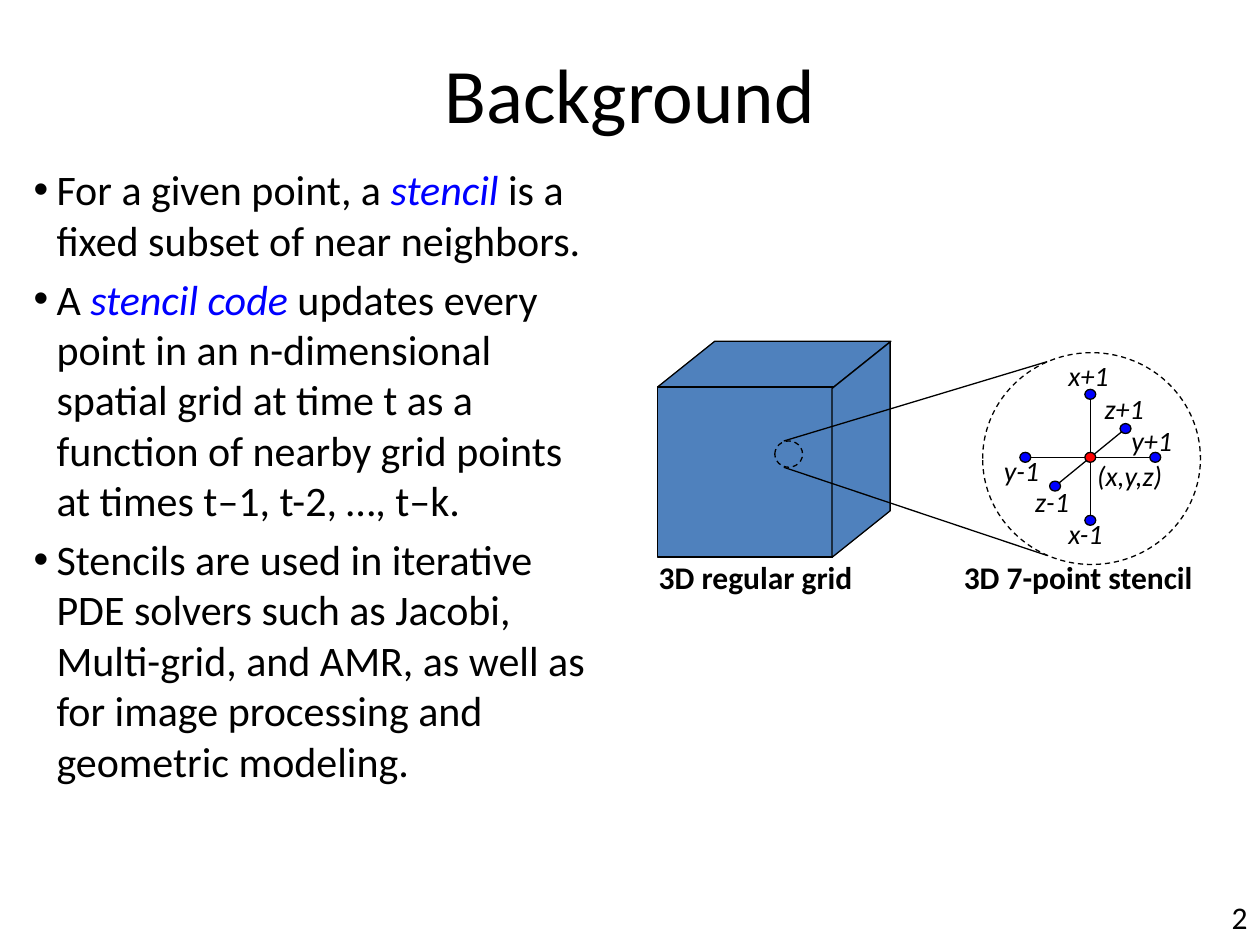
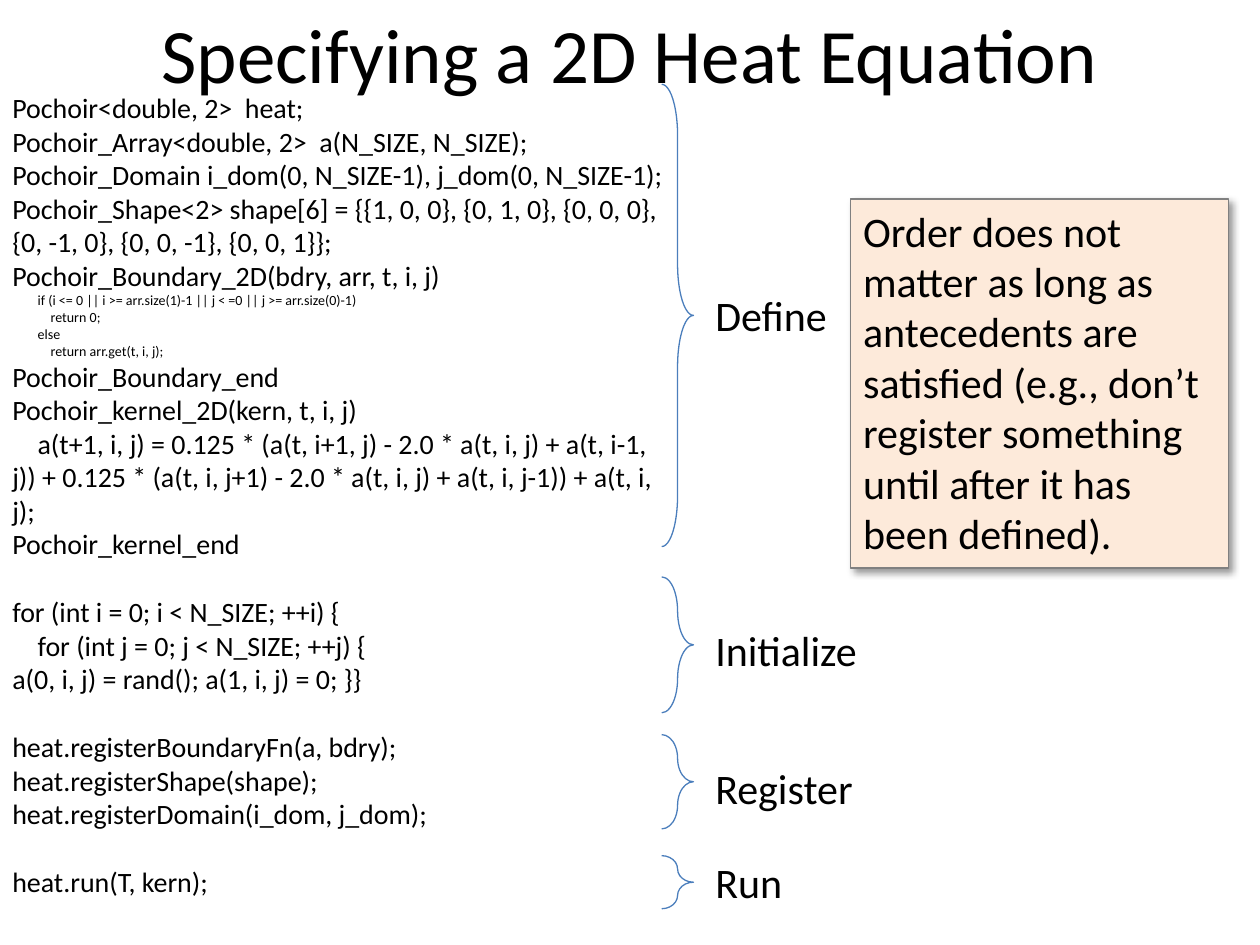
from lxml import etree
from pptx import Presentation, util as u
from pptx.dml.color import RGBColor
from pptx.enum import dml, shapes, text as t
from pptx.oxml import ns

BLACK = RGBColor(0, 0, 0)
BLUE = RGBColor(0, 0, 255)
RED = RGBColor(255, 0, 0)
CUBE_BLUE = RGBColor(0x4F, 0x81, 0xBD)
BRACE_BLUE = RGBColor(0x4B, 0x7E, 0xBC)
PEACH = RGBColor(0xFD, 0xEA, 0xDA)
GRAY = RGBColor(0x80, 0x80, 0x80)
SHAPE = shapes.MSO_SHAPE


def add_text(paragraph, content, size=16, color=BLACK, bold=False, italic=False):
    run = paragraph.add_run()
    run.text = content
    font = run.font
    font.name, font.size = "Calibri", u.Pt(size)
    font.bold, font.italic = bold, italic
    font.color.rgb = color


def add_child(parent, tag, **attributes):
    child = etree.SubElement(parent, ns.qn(tag))
    for name, value in attributes.items():
        child.set(name, str(value))
    return child


class Deck:
    line_width = u.Pt(0.75)

    def __init__(self):
        self.presentation = Presentation()
        self.presentation.slide_width = u.Cm(25.4)
        self.presentation.slide_height = u.Cm(19.05)

    def new_slide(self, title, top, height):
        layout = self.presentation.slide_layouts[6]
        self.slide = self.presentation.slides.add_slide(layout)
        self.label(title, 1.27, top, 22.86, height, size=44,
                   align=t.PP_ALIGN.CENTER, anchor=t.MSO_ANCHOR.MIDDLE)

    def text_frame(self, left, top, width, height, wrap=True):
        box = self.slide.shapes.add_textbox(*map(u.Cm, (left, top, width, height)))
        box.text_frame.word_wrap = wrap
        return box.text_frame

    def label(self, content, left, top, width, height, wrap=True,
              align=t.PP_ALIGN.LEFT, anchor=t.MSO_ANCHOR.TOP, **style):
        frame = self.text_frame(left, top, width, height, wrap)
        frame.vertical_anchor = anchor
        frame.paragraphs[0].alignment = align
        add_text(frame.paragraphs[0], content, **style)

    def paragraphs(self, frame, count):
        return [frame.paragraphs[0]] + [frame.add_paragraph() for _ in range(count - 1)]

    def bullets(self, items, left, top, width, height):
        frame = self.text_frame(left, top, width, height)
        for paragraph, runs in zip(self.paragraphs(frame, len(items)), items):
            paragraph.space_before = u.Pt(4.8)
            properties = paragraph._p.get_or_add_pPr()
            properties.set("marL", str(u.Cm(0.46)))
            properties.set("indent", str(u.Cm(-0.46)))
            add_child(properties, "a:buFont", typeface="Arial")
            add_child(properties, "a:buChar", char="•")
            for content, style in runs:
                add_text(paragraph, content, size=24, **style)

    def code(self, lines, left, top, width, height):
        frame = self.text_frame(left, top, width, height)
        for paragraph, (content, size, indent, gap) in zip(
                self.paragraphs(frame, len(lines)), lines):
            paragraph.space_before = u.Pt(gap)
            paragraph._p.get_or_add_pPr().set("indent", str(u.Cm(indent)))
            add_text(paragraph, content, size=size)

    def shape(self, kind, left, top, width, height, fill=None, line=BLACK,
              dashed=False, adjust=None):
        shape = self.slide.shapes.add_shape(kind, *map(u.Cm, (left, top, width, height)))
        shape.shadow.inherit = False
        if fill is None:
            shape.fill.background()
        else:
            shape.fill.solid()
            shape.fill.fore_color.rgb = fill
        shape.line.color.rgb = line
        shape.line.width = self.line_width
        if dashed:
            shape.line.dash_style = dml.MSO_LINE.DASH
        if adjust is not None:
            shape.adjustments[0] = adjust
        return shape

    def dot(self, x, y, fill):
        self.shape(SHAPE.OVAL, x - 0.11, y - 0.1, 0.22, 0.2, fill)

    def line(self, *ends):
        connector = self.slide.shapes.add_connector(
            shapes.MSO_CONNECTOR.STRAIGHT, *map(u.Cm, ends))
        connector.line.color.rgb = BLACK
        connector.line.width = self.line_width
        add_child(connector._element.spPr, "a:effectLst")

    def note(self, content, left, top, width, height):
        shape = self.shape(SHAPE.RECTANGLE, left, top, width, height, PEACH, GRAY)
        effects = shape._element.spPr.find(ns.qn("a:effectLst"))
        shadow = add_child(effects, "a:outerShdw", blurRad=u.Pt(4), dist=u.Pt(3),
                           dir=2700000, algn="tl", rotWithShape=0)
        color = add_child(shadow, "a:srgbClr", val=BLACK)
        add_child(color, "a:alpha", val=40000)
        frame = shape.text_frame
        frame.word_wrap = True
        frame.vertical_anchor = t.MSO_ANCHOR.TOP
        frame.paragraphs[0].alignment = t.PP_ALIGN.LEFT
        add_text(frame.paragraphs[0], content, size=24)


def build_background(deck):
    deck.new_slide("Background", 0.76, 2.21)
    term = {"color": BLUE, "italic": True}
    deck.bullets([
        [("For a given point, a ", {}), ("stencil ", term),
         ("is a fixed subset of near neighbors.", {})],
        [("A ", {}), ("stencil code ", term),
         ("updates every point in an n-dimensional spatial grid at time t as a "
          "function of nearby grid points at times t–1, t-2, …, t–k.", {})],
        [("Stencils are used in iterative PDE solvers such as Jacobi, Multi-grid, "
          "and AMR, as well as for image processing and geometric modeling.", {})],
    ], 0.43, 3.18, 11.86, 15.44)

    deck.shape(SHAPE.RECTANGLE, 13.26, 7.8, 3.53, 3.43, CUBE_BLUE)
    deck.shape(SHAPE.PARALLELOGRAM, 13.26, 6.88, 4.7, 0.92, CUBE_BLUE, adjust=1.25)
    side = deck.shape(SHAPE.PARALLELOGRAM, 15.19, 8.48, 4.34, 1.17, CUBE_BLUE, adjust=0.8)
    side.rotation = 270
    side._element.spPr.xfrm.set("flipH", "1")
    deck.shape(SHAPE.OVAL, 15.62, 8.89, 0.56, 0.53, CUBE_BLUE, dashed=True)
    deck.line(15.8, 8.89, 21.11, 7.29)
    deck.line(15.8, 9.42, 21.11, 11.2)

    x, y = 21.98, 9.22
    for dx, dy in [(1.31, 0), (0, -1.27), (0.71, -0.58)]:
        deck.line(x - dx, y - dy, x + dx, y + dy)
        for sign in (-1, 1):
            deck.dot(x + sign * dx, y + sign * dy, BLUE)
    for content, left, top, width in [
        ("(x,y,z)", 21.87, 9.12, 2.06),
        ("x+1", 21.29, 7.11, 1.45), ("x-1", 21.29, 10.29, 1.3),
        ("y-1", 19.99, 9.02, 1.3), ("y+1", 22.56, 8.41, 1.45),
        ("z-1", 20.62, 9.65, 1.3), ("z+1", 22.02, 7.77, 1.45),
    ]:
        deck.label(content, left, top, width, 0.94, wrap=False, italic=True)
    deck.shape(SHAPE.OVAL, 19.81, 7.11, 4.39, 4.27, dashed=True)
    deck.dot(x, y, RED)

    for content, left, width in [("3D regular grid", 13.03, 5.08),
                                 ("3D 7-point stencil", 19.18, 5.79)]:
        deck.label(content, left, 11.13, width, 1.02, wrap=False, size=18, bold=True)
    deck.label("2", 19.48, 17.98, 5.92, 0.84, size=18, align=t.PP_ALIGN.RIGHT)


def build_heat_equation(deck):
    deck.new_slide("Specifying a 2D Heat Equation", 0, 2.11)
    gap = 19.5
    deck.code([
        ("Pochoir<double, 2>  heat;", 16, 0, 0),
        ("Pochoir_Array<double, 2>  a(N_SIZE, N_SIZE);", 16, 0, 0),
        ("Pochoir_Domain i_dom(0, N_SIZE-1), j_dom(0, N_SIZE-1);", 16, 0, 0),
        ("Pochoir_Shape<2> shape[6] = {{1, 0, 0}, {0, 1, 0}, {0, 0, 0}, "
         "{0, -1, 0}, {0, 0, -1}, {0, 0, 1}};", 16, 0, 0),
        ("Pochoir_Boundary_2D(bdry, arr, t, i, j)", 16, 0, 0),
        ("if (i <= 0 || i >= arr.size(1)-1 || j < =0 || j >= arr.size(0)-1)", 8, 0.51, 0),
        ("return 0;", 8, 0.77, 0),
        ("else", 8, 0.51, 0),
        ("return arr.get(t, i, j);", 8, 0.77, 0),
        ("Pochoir_Boundary_end", 16, 0, 0),
        ("Pochoir_kernel_2D(kern, t, i, j)", 16, 0, 0),
        ("a(t+1, i, j) = 0.125 * (a(t, i+1, j) - 2.0 * a(t, i, j) + a(t, i-1, j)) "
         "+ 0.125 * (a(t, i, j+1) - 2.0 * a(t, i, j) + a(t, i, j-1)) + a(t, i, j);",
         16, 0.51, 0),
        ("Pochoir_kernel_end", 16, 0, 0),
        ("for (int i = 0; i < N_SIZE; ++i) {", 16, 0, gap),
        ("for (int j = 0; j < N_SIZE; ++j) {", 16, 0.51, 0),
        ("a(0, i, j) = rand(); a(1, i, j) = 0; }}", 16, 0, 0),
        ("heat.registerBoundaryFn(a, bdry);", 16, 0, gap),
        ("heat.registerShape(shape);", 16, 0, 0),
        ("heat.registerDomain(i_dom, j_dom);", 16, 0, 0),
        ("heat.run(T, kern);", 16, 0, gap),
    ], 0, 1.7, 13.77, 16.66)
    deck.note("Order does not matter as long as antecedents are satisfied (e.g., "
              "don’t register something until after it has been defined).",
              17.15, 4.01, 7.62, 7.44)
    for step, brace_top, brace_height, label_top in [
        ("Define", 1.7, 9.32, 5.72),
        ("Initialize", 11.63, 2.74, 12.47),
        ("Register", 14.81, 1.9, 15.24),
        ("Run", 17.25, 1.07, 17.15),
    ]:
        deck.shape(SHAPE.RIGHT_BRACE, 13.34, brace_top, 0.64, brace_height,
                   line=BRACE_BLUE, adjust=1.61)
        deck.label(step, 14.17, label_top, 5.29, 1.27, size=24)


deck = Deck()
build_background(deck)
build_heat_equation(deck)
deck.presentation.save("out.pptx")
